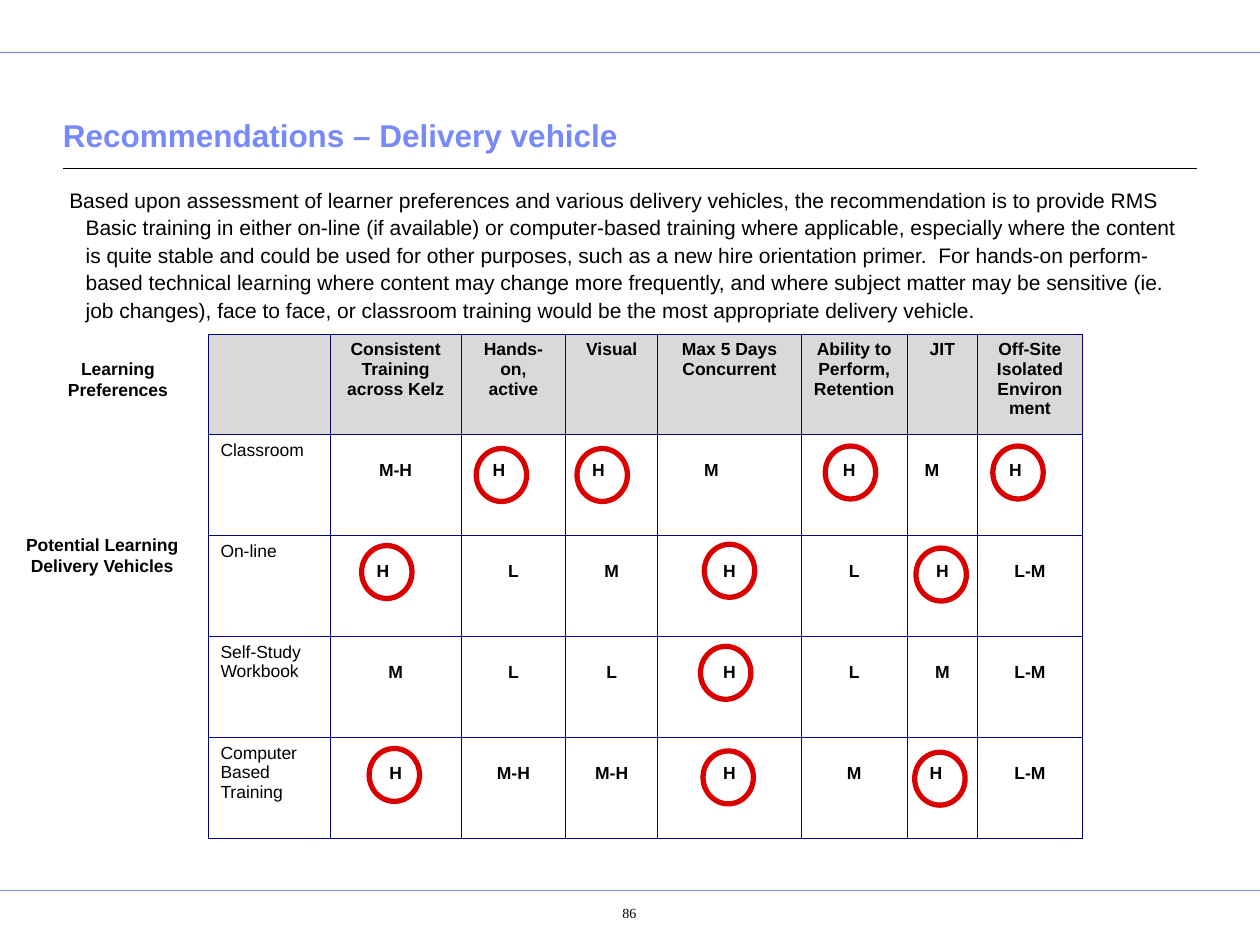
from lxml import etree
from pptx import Presentation
from pptx.dml.color import RGBColor
from pptx.enum.shapes import MSO_CONNECTOR, MSO_SHAPE
from pptx.enum.text import MSO_ANCHOR, PP_ALIGN
from pptx.oxml.ns import qn
from pptx.util import Inches, Pt

LEFT, CENTER = PP_ALIGN.LEFT, PP_ALIGN.CENTER
TOP, BOTTOM = MSO_ANCHOR.TOP, MSO_ANCHOR.BOTTOM
STRAIGHT, OVAL = MSO_CONNECTOR.STRAIGHT, MSO_SHAPE.OVAL
BLACK = RGBColor(0x00, 0x00, 0x00)
BLUE = RGBColor(0x78, 0x89, 0xFB)
NAVY = RGBColor(0x00, 0x00, 0x80)
GREY = RGBColor(0xD9, 0xD9, 0xD9)
RED = RGBColor(0xDB, 0x00, 0x00)

# Content
TITLE = "Recommendations – Delivery vehicle"
BODY = (
    "Based upon assessment of learner preferences and various delivery vehicles, "
    "the recommendation is to provide RMS Basic training in either on-line (if "
    "available) or computer-based training where applicable, especially where the "
    "content is quite stable and could be used for other purposes, such as a new "
    "hire orientation primer.  For hands-on perform-based technical learning where "
    "content may change more frequently, and where subject matter may be sensitive "
    "(ie. job changes), face to face, or classroom training would be the most "
    "appropriate delivery vehicle."
)
PREFERENCES = ["", "Consistent Training across Kelz", "Hands-on, active", "Visual",
               "Max 5 Days Concurrent", "Ability to Perform, Retention", "JIT",
               "Off-Site Isolated Environment"]
VEHICLES = [
    ("Classroom", "M-H", "H", "H", "M", "H", "M", "H"),
    ("On-line", "H", "L", "M", "H", "L", "H", "L-M"),
    ("Self-Study Workbook", "M", "L", "L", "H", "L", "M", "L-M"),
    ("Computer Based Training", "H", "M-H", "M-H", "H", "M", "H", "L-M"),
]
# Left margins of the ratings that are not centred: (row, column)
LEFT_RATINGS = {(1, 2): 0.25, (1, 3): 0.21, (1, 4): 0.37, (1, 5): 0.33,
                (1, 6): 0.14, (1, 7): 0.25, (2, 1): 0.37, (4, 6): 0.18}
COL_WIDTHS = [0.97, 1.04, 0.83, 0.73, 1.14, 0.84, 0.56, 0.83]
ROW_HEIGHT = 0.8
CIRCLES = [  # left, top of the ring round each H
    (3.78, 3.56), (4.58, 3.56), (6.55, 3.54), (7.88, 3.54),
    (2.87, 4.33), (5.59, 4.32), (7.27, 4.35),
    (5.56, 5.13),
    (2.93, 5.94), (5.58, 5.96), (7.26, 5.97),
]
RULES = [  # left, right, y, colour, width
    (0, 10, 0.42, BLUE, 0.5),
    (0, 10, 7.07, BLUE, 0.5),
    (0.5, 9.5, 1.34, BLACK, 0.75),
]
SIDE_LABELS = [
    (0.44, 2.79, 0.99, ["Learning", "Preferences"]),
    (0.09, 4.19, 1.44, ["Potential Learning", "Delivery Vehicles"]),
]


def write(tf, lines, margins, align=LEFT, **font):
    """Fill a text frame; margins are left, top, right, bottom."""
    sides = ("left", "top", "right", "bottom")
    for side, margin in zip(sides, margins):
        setattr(tf, f"margin_{side}", Inches(margin))
    look = {"name": "Arial", "size": Pt(10), "bold": False, **font}
    color = look.pop("color", BLACK)
    for i, line in enumerate(lines):
        p = tf.paragraphs[0] if i == 0 else tf.add_paragraph()
        p.alignment = align
        r = p.add_run()
        r.text = line
        for key, value in look.items():
            setattr(r.font, key, value)
        r.font.color.rgb = color


def add_text(s, box, lines, margins, align=LEFT, anchor=TOP, wrap=True, **font):
    tf = s.shapes.add_textbox(*map(Inches, box)).text_frame
    tf.word_wrap = wrap
    tf.vertical_anchor = anchor
    write(tf, lines, margins, align, **font)
    return tf


def border_cell(cell):
    tc_pr = cell._tc.get_or_add_tcPr()
    for i, side in enumerate(("lnL", "lnR", "lnT", "lnB")):
        ln = etree.Element(qn(f"a:{side}"), w=str(Pt(0.45)))
        fill = etree.SubElement(ln, qn("a:solidFill"))
        etree.SubElement(fill, qn("a:srgbClr"), val=str(NAVY))
        tc_pr.insert(i, ln)


prs = Presentation()
prs.slide_width, prs.slide_height = Inches(10), Inches(7.5)
s = prs.slides.add_slide(prs.slide_layouts[6])

# Rules
for left, right, y, color, width in RULES:
    line = s.shapes.add_connector(STRAIGHT, Inches(left), Inches(y),
                                  Inches(right), Inches(y))
    line.line.color.rgb = color
    line.line.width = Pt(width)
    etree.SubElement(line._element.spPr, qn("a:effectLst"))

# Title and body
add_text(s, (0.5, 0.64, 9, 0.63), [TITLE], (0, 0.05, 0, 0.05), anchor=BOTTOM,
         size=Pt(18), bold=True, color=BLUE)
body = add_text(s, (0.5, 1.42, 9, 1.2), [BODY], (0.05,) * 4, size=Pt(12))
p = body.paragraphs[0]
p.line_spacing = 1.09
p_pr = p._p.get_or_add_pPr()
p_pr.set("marL", str(Inches(0.13)))
p_pr.set("indent", str(Inches(-0.13)))

# Ratings table
rows = [PREFERENCES, *VEHICLES]
table = s.shapes.add_table(len(rows), len(COL_WIDTHS), Inches(1.65), Inches(2.65),
                           Inches(sum(COL_WIDTHS)),
                           Inches(ROW_HEIGHT * len(rows))).table
table.first_row = table.horz_banding = False
for col, width in zip(table.columns, COL_WIDTHS):
    col.width = Inches(width)
for i, row in enumerate(rows):
    table.rows[i].height = Inches(ROW_HEIGHT)
    for j, text in enumerate(row):
        cell = table.cell(i, j)
        if i == 0:
            cell.fill.solid()
            cell.fill.fore_color.rgb = GREY
        else:
            cell.fill.background()
        border_cell(cell)
        is_rating = i > 0 and j > 0
        margin_top = 0.21 if is_rating else 0.05
        for side, margin in (("left", LEFT_RATINGS.get((i, j), 0.1)),
                             ("top", margin_top), ("right", 0.1), ("bottom", 0.05)):
            setattr(cell, f"margin_{side}", Inches(margin))
        if text:
            p = cell.text_frame.paragraphs[0]
            is_left = (i > 0 and j == 0) or (i, j) in LEFT_RATINGS
            p.alignment = LEFT if is_left else CENTER
            r = p.add_run()
            r.text = text
            font = {"name": "Arial", "size": Pt(10), "bold": i == 0 or j > 0}
            for key, value in font.items():
                setattr(r.font, key, value)
            r.font.color.rgb = BLACK

# Rings round the high ratings
for left, top in CIRCLES:
    ring = s.shapes.add_shape(OVAL, Inches(left), Inches(top),
                              Inches(0.4), Inches(0.42))
    ring.shadow.inherit = False
    ring.fill.background()
    ring.line.color.rgb = RED
    ring.line.width = Pt(3)

# Side labels and page number
for left, top, width, lines in SIDE_LABELS:
    add_text(s, (left, top, width, 0.44), lines, (0.1, 0.05, 0.1, 0.05),
             CENTER, wrap=False, bold=True)
add_text(s, (4.27, 7.11, 1.15, 0.35), ["86"], (0.4, 0.07, 0.1, 0.05), CENTER,
         name="Times New Roman", size=Pt(8))

prs.save("out.pptx")
